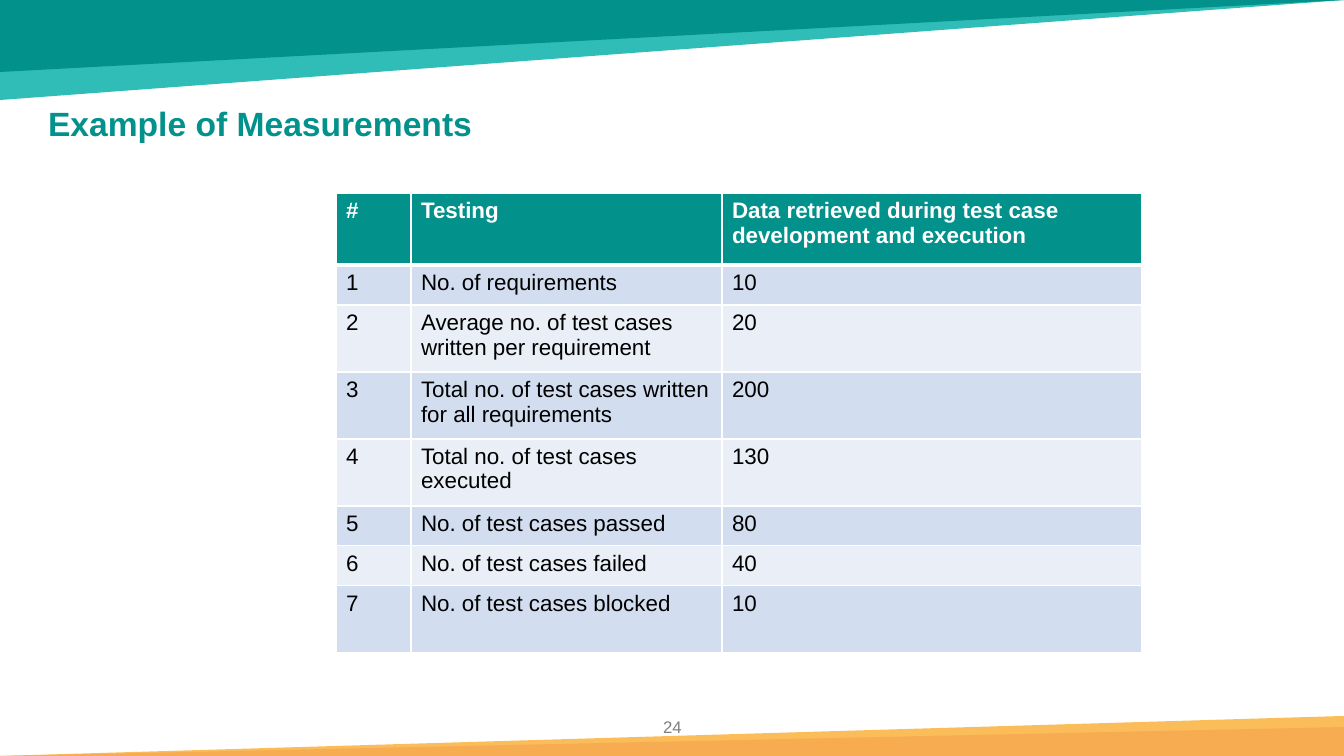
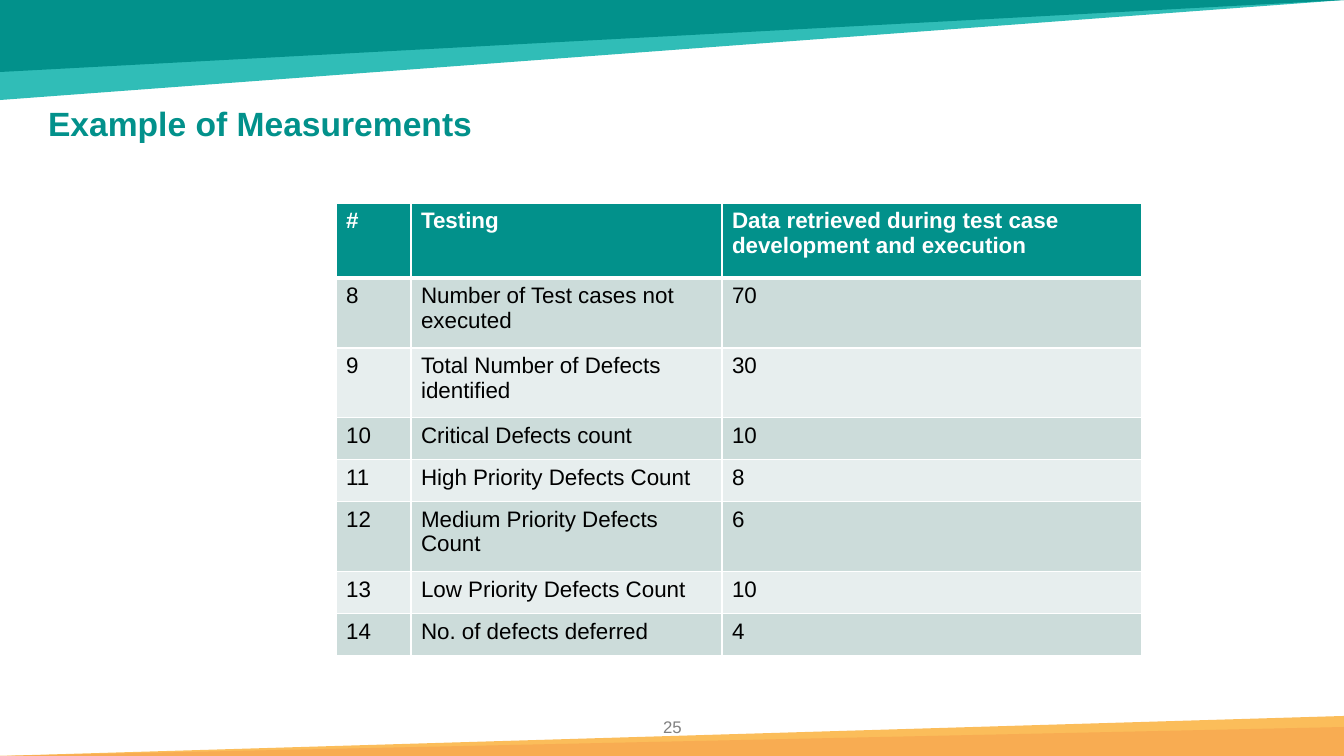
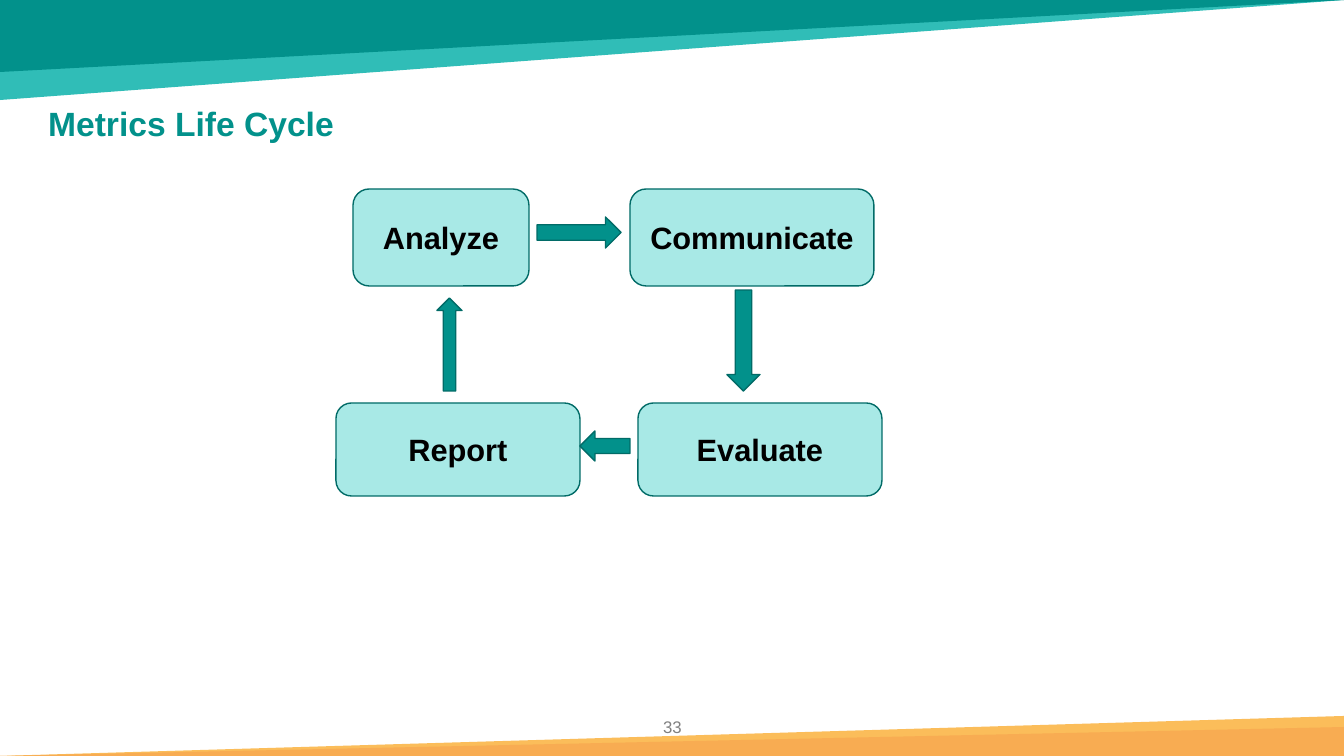
import pptx
import pptx.util
import pptx.dml.color
import pptx.enum.shapes
import pptx.enum.text
import pptx.oxml

PX = 914400 / 100.8
FONT = "Arial"
SHAPE = pptx.enum.shapes.MSO_SHAPE
ALIGN = pptx.enum.text.PP_ALIGN
ANCHOR = pptx.enum.text.MSO_ANCHOR

COLORS = {
    "teal": "02918B", "aqua": "30BDB7", "amber": "FBBD5A", "orange": "F8AC52",
    "box": "A8E9E6", "outline": "016B67", "number": "808080",
    "black": "000000", "white": "FFFFFF",
    "blue_dark": "D2DEEF", "blue_light": "EAEFF7",
    "green_dark": "CCDCDA", "green_light": "E7EEEE",
}
SLIDE_W, SLIDE_H = 1344, 756
TOP_BANDS = [(100, "aqua"), (72, "teal")]
BOTTOM_BANDS = [(40, "amber"), (29, "orange")]

HEADER = ("#", "Testing", "Data retrieved during test case development and execution")
COLUMNS = (75, 311, 420)
TABLE_LEFT = 336
TABLES = [
    {
        "title": "Example of Measurements", "number": 24, "top": 193, "first": 1,
        "heights": {"header": 72, "short": 40, "tall": 67},
        "bands": ("blue_dark", "blue_light"),
        "rows": [
            ("No. of requirements", 10, "short"),
            ("Average no. of test cases written per requirement", 20, "tall"),
            ("Total no. of test cases written for all requirements", 200, "tall"),
            ("Total no. of test cases executed", 130, "tall"),
            ("No. of test cases passed", 80, "short"),
            ("No. of test cases failed", 40, "short"),
            ("No. of test cases blocked", 10, "tall"),
        ],
    },
    {
        "title": "Example of Measurements", "number": 25, "top": 203, "first": 8,
        "heights": {"header": 75, "short": 42, "tall": 70},
        "bands": ("green_dark", "green_light"),
        "rows": [
            ("Number of Test cases not executed", 70, "tall"),
            ("Total Number of Defects identified", 30, "tall"),
            ("Critical Defects count", 10, "short"),
            ("High Priority Defects Count", 8, "short"),
            ("Medium Priority Defects Count", 6, "tall"),
            ("Low Priority Defects Count", 10, "short"),
            ("No. of defects deferred", 4, "short"),
        ],
    },
]
CYCLE = {
    "title": "Metrics Life Cycle", "number": 33,
    "steps": [
        ("Analyze", 353, 189, 176, 97),
        ("Communicate", 630, 189, 244, 97),
        ("Evaluate", 638, 403, 244, 93),
        ("Report", 336, 403, 244, 93),
    ],
    "arrows": [
        (SHAPE.RIGHT_ARROW, 537, 217, 84, 31),
        (SHAPE.DOWN_ARROW, 727, 290, 33, 101),
        (SHAPE.LEFT_ARROW, 580, 431, 50, 30),
        (SHAPE.UP_ARROW, 437, 298, 25, 93),
    ],
}


def px(*lengths):
    return [pptx.util.Emu(round(n * PX)) for n in lengths]


def rgb(name):
    return pptx.dml.color.RGBColor.from_string(COLORS[name])


def write(tf, text, size, color, bold=False, align=ALIGN.LEFT):
    tf.text = str(text)
    tf.word_wrap = True
    p = tf.paragraphs[0]
    p.alignment = align
    font = p.runs[0].font
    font.name, font.size, font.bold = FONT, pptx.util.Pt(size), bold
    font.color.rgb = rgb(color)
    return p


def add_shape(s, kind, box, fill, line=None):
    sp = s.shapes.add_shape(kind, *px(*box))
    sp.shadow.inherit = False
    sp.fill.solid()
    sp.fill.fore_color.rgb = rgb(fill)
    if line:
        sp.line.color.rgb = rgb(line)
        sp.line.width = pptx.util.Pt(1)
    else:
        sp.line.fill.background()
    return sp


def add_band(s, top, height, color, rotation):
    sp = add_shape(s, SHAPE.RIGHT_TRIANGLE, (0, top, SLIDE_W, height), color)
    sp.element.spPr.xfrm.set("flipH", "1")
    sp.rotation = rotation
    return sp


def move_bands_to_layout(s):
    layout = s.slide_layout
    for ph in list(layout.placeholders):
        if ph.placeholder_format.type != pptx.enum.shapes.PP_PLACEHOLDER.TITLE:
            ph.element.getparent().remove(ph.element)
    bands = [add_band(s, 0, h, color, 180) for h, color in TOP_BANDS]
    bands += [add_band(s, SLIDE_H - h, h, color, 0) for h, color in BOTTOM_BANDS]
    for i, sp in enumerate(bands):
        layout.shapes.element.insert(2 + i, sp.element)


def add_slide(prs, title, number):
    s = prs.slides.add_slide(prs.slide_layouts[5])
    sp = s.shapes.title
    sp.left, sp.top, sp.width, sp.height = px(38, 102, 886, 40)
    p = write(sp.text_frame, title, 24, "teal", True)
    p.line_spacing = 0.9
    sp.text_frame.auto_size = pptx.enum.text.MSO_AUTO_SIZE.NONE
    sp.text_frame.vertical_anchor = ANCHOR.TOP
    box = s.shapes.add_textbox(*px(639, 712, 67, 30))
    write(box.text_frame, number, 12, "number", align=ALIGN.CENTER)
    return s


def add_borders(cell, top, bottom):
    tcPr = cell._tc.get_or_add_tcPr()
    for side, width in (("L", 1), ("R", 1), ("T", top), ("B", bottom)):
        tcPr.append(pptx.oxml.parse_xml(
            f'<a:ln{side} xmlns:a="http://schemas.openxmlformats.org/drawingml/2006/main"'
            f' w="{pptx.util.Pt(width)}"><a:solidFill><a:srgbClr val="{COLORS["white"]}"/>'
            f'</a:solidFill></a:ln{side}>'))


def add_table(s, data):
    heights = [data["heights"]["header"]]
    heights += [data["heights"][size] for _, _, size in data["rows"]]
    rows = [HEADER]
    rows += [(i, name, value) for i, (name, value, _) in enumerate(data["rows"], data["first"])]
    frame = s.shapes.add_table(len(rows), len(COLUMNS), *px(
        TABLE_LEFT, data["top"], sum(COLUMNS), sum(heights)))
    table = frame.table
    for column, width in zip(table.columns, px(*COLUMNS)):
        column.width = width
    for r, (row, height) in enumerate(zip(rows, px(*heights))):
        header = r == 0
        table.rows[r].height = height
        for c, text in enumerate(row):
            cell = table.cell(r, c)
            add_borders(cell, 3 if r == 1 else 1, 3 if header else 1)
            cell.fill.solid()
            cell.fill.fore_color.rgb = rgb("teal" if header else data["bands"][(r - 1) % 2])
            write(cell.text_frame, text, 16, "white" if header else "black", header)


def add_cycle(s):
    for text, *box in CYCLE["steps"]:
        sp = add_shape(s, SHAPE.ROUNDED_RECTANGLE, box, "box", "outline")
        write(sp.text_frame, text, 22, "black", True, ALIGN.CENTER)
        sp.text_frame.vertical_anchor = ANCHOR.MIDDLE
    for kind, *box in CYCLE["arrows"]:
        add_shape(s, kind, box, "teal", "outline")


def main():
    prs = pptx.Presentation()
    prs.slide_width, prs.slide_height = px(SLIDE_W, SLIDE_H)
    for data in TABLES:
        add_table(add_slide(prs, data["title"], data["number"]), data)
    s = add_slide(prs, CYCLE["title"], CYCLE["number"])
    add_cycle(s)
    move_bands_to_layout(s)
    prs.save("out.pptx")


if __name__ == "__main__":
    main()
